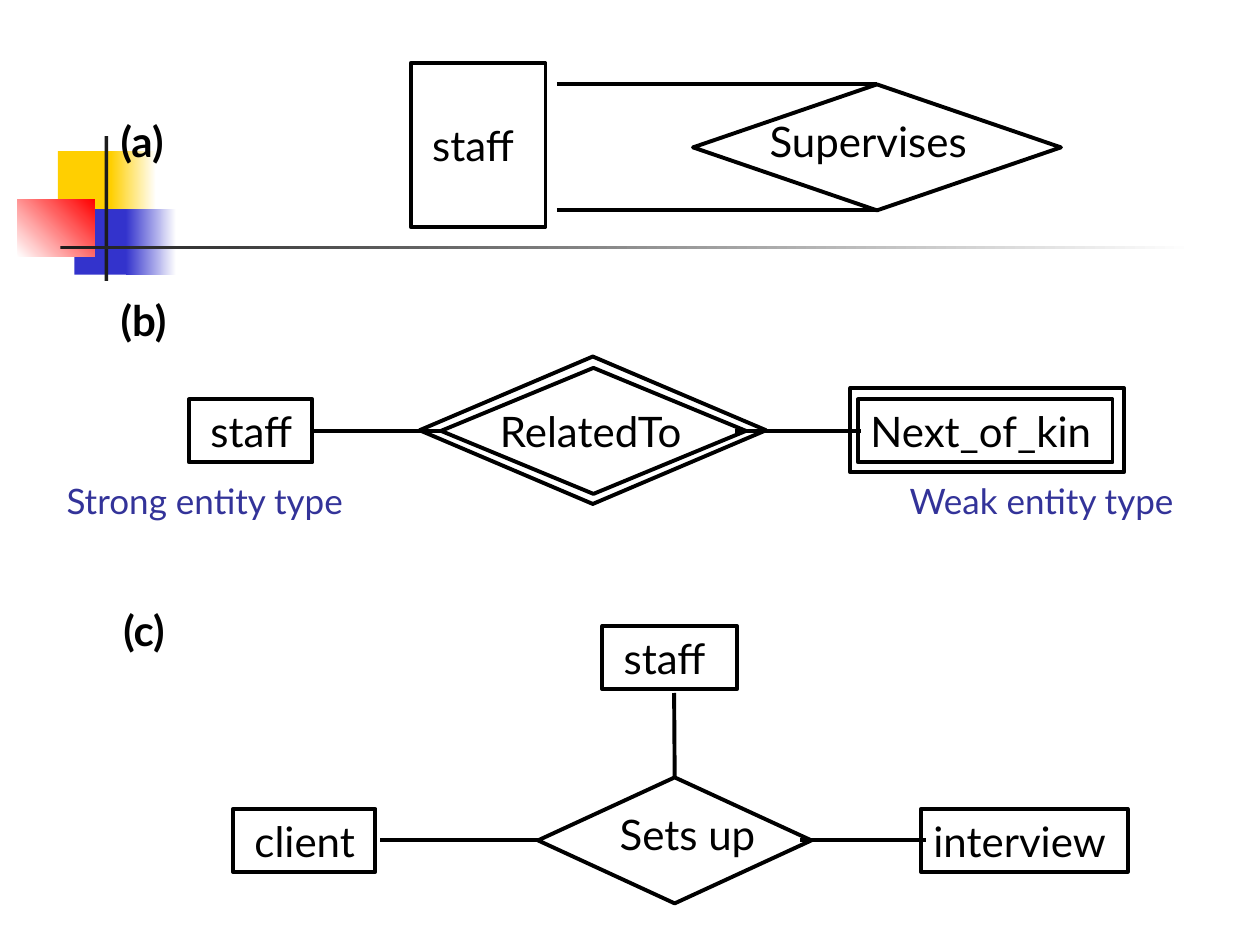
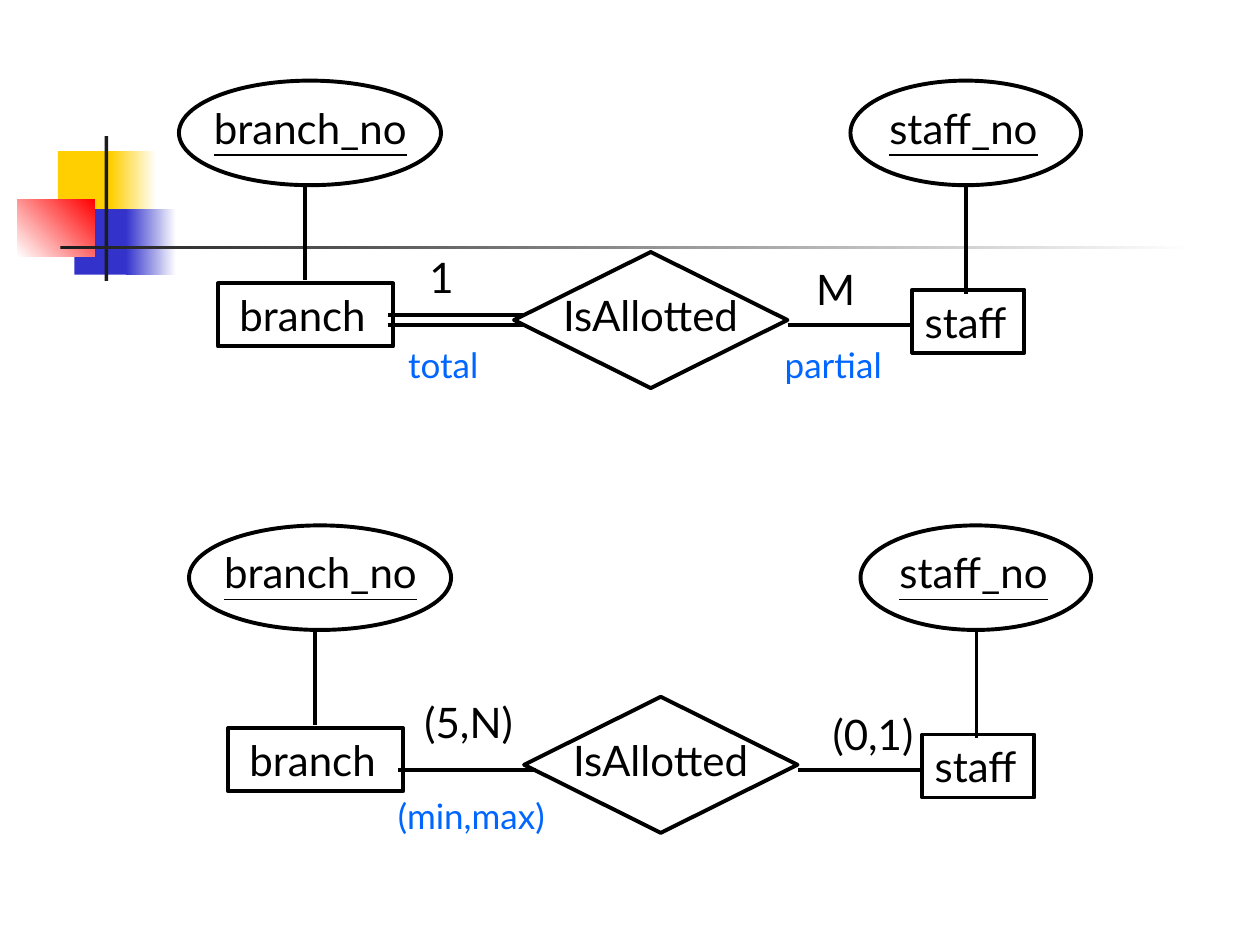
import pptx
import pptx.dml.color
import pptx.enum.shapes
import pptx.enum.text
import pptx.util
from lxml import etree

Inches = pptx.util.Inches
Pt = pptx.util.Pt
RGBColor = pptx.dml.color.RGBColor
SHAPES = pptx.enum.shapes.MSO_SHAPE

BLACK = RGBColor(0x00, 0x00, 0x00)
WHITE = RGBColor(0xFF, 0xFF, 0xFF)
YELLOW = RGBColor(0xFF, 0xCF, 0x01)
BLUE = RGBColor(0x33, 0x33, 0xCC)
RED = RGBColor(0xFF, 0x00, 0x00)
CHARCOAL = RGBColor(0x1C, 0x1C, 0x1C)
CAPTION = RGBColor(0x33, 0x33, 0x99)
NOTE = RGBColor(0x00, 0x66, 0xFF)

FONT = "Lato"
LINE_WIDTH = Pt(2.25)
NAME_INDENT = 0.07
ROW = 0.5
SMALL_ROW = 0.44
TOP, LEFT, BOTTOM, RIGHT = range(4)


class Region:
    """Draws diagram parts at offsets, in inches, from its own corner."""

    def __init__(self, page, left, top):
        self.page, self.left, self.top = page, left, top

    def point(self, x, y):
        return Inches(self.left + x), Inches(self.top + y)

    def outline(self, kind, x, y, width, height):
        shape = self.page.shapes.add_shape(
            kind, *self.point(x, y), Inches(width), Inches(height))
        shape.shadow.inherit = False
        shape.fill.background()
        shape.line.color.rgb = BLACK
        shape.line.width = LINE_WIDTH
        return shape

    def entity(self, name, x, y, width, height=ROW, indent=NAME_INDENT):
        box = self.outline(SHAPES.RECTANGLE, x, y, width, height)
        write(box, name, indent=indent)
        return box

    def diamond(self, x, y, width, height=1):
        return self.outline(SHAPES.FLOWCHART_DECISION, x, y, width, height)

    def label(self, text, x, y, width, **style):
        height = SMALL_ROW if style.get("size") == 20 else ROW
        box = self.page.shapes.add_textbox(
            *self.point(x, y), Inches(width), Inches(height))
        write(box, text, **style)

    def attribute(self, name, x, width, label_x, label_width):
        """Draw a key attribute: an ellipse with an underlined name."""
        self.outline(SHAPES.OVAL, x, 0, width, 0.83)
        self.label(name, label_x, 0.12, label_width, underline=True)

    def line(self, start, end, begin_at=None, end_at=None):
        """Draw a line; begin_at and end_at are (shape, side) joins."""
        connector = self.page.shapes.add_connector(
            pptx.enum.shapes.MSO_CONNECTOR.STRAIGHT,
            *self.point(*start), *self.point(*end))
        connector.line.color.rgb = BLACK
        connector.line.width = LINE_WIDTH
        etree.SubElement(connector._element.spPr,
                         pptx.oxml.ns.qn("a:effectLst"))
        if begin_at:
            connector.begin_connect(*begin_at)
        if end_at:
            connector.end_connect(*end_at)


def write(box, text, size=24, color=BLACK, bold=False, underline=False, indent=0):
    frame = box.text_frame
    frame.word_wrap = True
    frame.vertical_anchor = pptx.enum.text.MSO_ANCHOR.MIDDLE
    frame.margin_left = Inches(0.1 + indent)
    frame.margin_right = 0
    para = frame.paragraphs[0]
    para.alignment = pptx.enum.text.PP_ALIGN.LEFT
    span = para.add_run()
    span.text = text
    span.font.name = FONT
    span.font.size = Pt(size)
    span.font.color.rgb = color
    span.font.bold = bold
    span.font.underline = underline


def draw_motif(page):
    """Draw the coloured squares and rules shared by all pages."""
    blocks = [
        (0.46, 1.2, 0.48, 0.52, YELLOW, None, 0),
        (0.88, 1.2, 0.36, 0.52, YELLOW, WHITE, 0),
        (0.59, 1.66, 0.46, 0.52, BLUE, None, 0),
        (1, 1.66, 0.4, 0.52, BLUE, WHITE, 0),
        (0.14, 1.58, 0.61, 0.46, WHITE, RED, 45),
        (0.83, 1.08, 0.03, 1.15, CHARCOAL, None, 0),
        (0.48, 1.95, 9, 0.03, CHARCOAL, WHITE, 0),
    ]
    for *bounds, first, last, angle in blocks:
        block = page.shapes.add_shape(SHAPES.RECTANGLE, *map(Inches, bounds))
        block.shadow.inherit = False
        block.line.fill.background()
        if last is None:
            block.fill.solid()
            block.fill.fore_color.rgb = first
            continue
        block.fill.gradient()
        block.fill.gradient_angle = angle
        for stop, color in zip(block.fill.gradient_stops, (first, last)):
            stop.color.rgb = color


def draw_recursive(page, left, top):
    region = Region(page, left, top)
    region.label("(a)", 0, 0.37, 0.62, bold=True)
    region.entity("staff", 2.4, 0, 1.07, 1.3)
    supervises = region.diamond(4.64, 0.17, 2.92)
    region.label("Supervises", 5.15, 0.37, 1.88)
    for y, side in ((0.17, TOP), (1.17, BOTTOM)):
        region.line((3.56, y), (6.1, y), end_at=(supervises, side))


def draw_weak_entity(page, left, top):
    region = Region(page, left, top)
    region.label("(b)", 0, 0, 0.63, bold=True)
    staff = region.entity("staff", 0.64, 0.88, 0.98)
    region.entity("Next_of_kin", 5.95, 0.88, 2.02, indent=0)
    region.outline(SHAPES.RECTANGLE, 5.89, 0.79, 2.17, 0.67)
    related = region.diamond(2.64, 0.63, 2.42)
    region.diamond(2.47, 0.54, 2.75, 1.17)
    region.label("RelatedTo", 3.01, 0.88, 1.77)
    region.line((1.64, 1.13), (2.64, 1.13), (staff, RIGHT), (related, LEFT))
    region.line((4.97, 1.13), (5.97, 1.13))
    region.label("Strong entity type", -0.43, 1.46, 2.54, size=20, color=CAPTION)
    region.label("Weak entity type", 6.26, 1.46, 2.38, size=20, color=CAPTION)


def draw_ternary(page, left, top):
    region = Region(page, left, top)
    region.label("(c)", 0, 0, 0.59, bold=True)
    region.entity("staff", 3.9, 0.22, 1.07)
    region.entity("client", 0.97, 1.67, 1.13)
    region.entity("interview", 6.43, 1.67, 1.64, indent=0)
    sets_up = region.diamond(3.39, 1.42, 2.17)
    region.label("Sets up", 3.94, 1.62, 1.35)
    region.line((2.14, 1.92), (3.39, 1.92), end_at=(sets_up, LEFT))
    region.line((5.47, 1.92), (6.47, 1.92))
    region.line((4.47, 1.42), (4.47, 0.75), begin_at=(sets_up, TOP))


def draw_allotment(page, left, top, branch_lines, labels):
    """Draw branch IsAllotted staff; labels are (text, x, y, width, style)."""
    region = Region(page, left, top)
    region.attribute("branch_no", 0, 2.08, 0.18, 1.86)
    region.attribute("staff_no", 5.33, 1.83, 5.54, 1.45)
    region.entity("branch", 0.31, 1.61, 1.39)
    region.entity("staff", 5.82, 1.66, 0.89, indent=0)
    region.diamond(2.66, 1.36, 2.17, 1.08)
    region.label("IsAllotted", 2.95, 1.61, 1.69)
    region.line((1, 0.83), (1, 1.58))
    region.line((6.25, 0.83), (6.25, 1.69))
    for y in branch_lines:
        region.line((1.66, y), (2.75, y))
    region.line((4.83, 1.94), (5.83, 1.94))
    for text, x, y, width, style in labels:
        region.label(text, x, y, width, **style)


def main():
    deck = pptx.Presentation()
    deck.slide_width, deck.slide_height = Inches(10), Inches(7.5)
    relationships, constraints = [
        deck.slides.add_slide(deck.slide_layouts[6]) for _ in range(2)]
    for page in (relationships, constraints):
        draw_motif(page)

    draw_recursive(relationships, 0.86, 0.5)
    draw_weak_entity(relationships, 0.86, 2.29)
    draw_ternary(relationships, 0.88, 4.75)

    note = {"size": 20, "color": NOTE}
    draw_allotment(constraints, 1.42, 0.64, (1.86, 1.94), [
        ("1", 1.89, 1.31, 0.39, {}),
        ("M", 4.96, 1.4, 0.5, {}),
        ("total", 1.72, 2.03, 0.79, note),
        ("partial", 4.71, 2.03, 1.04, note),
    ])
    draw_allotment(constraints, 1.5, 4.17, (1.94,), [
        ("(5,N)", 1.77, 1.31, 0.93, {}),
        ("(0,1)", 5.01, 1.4, 0.87, {}),
        ("(min,max)", 1.56, 2.08, 1.51, note),
    ])
    deck.save("out.pptx")


if __name__ == "__main__":
    main()
